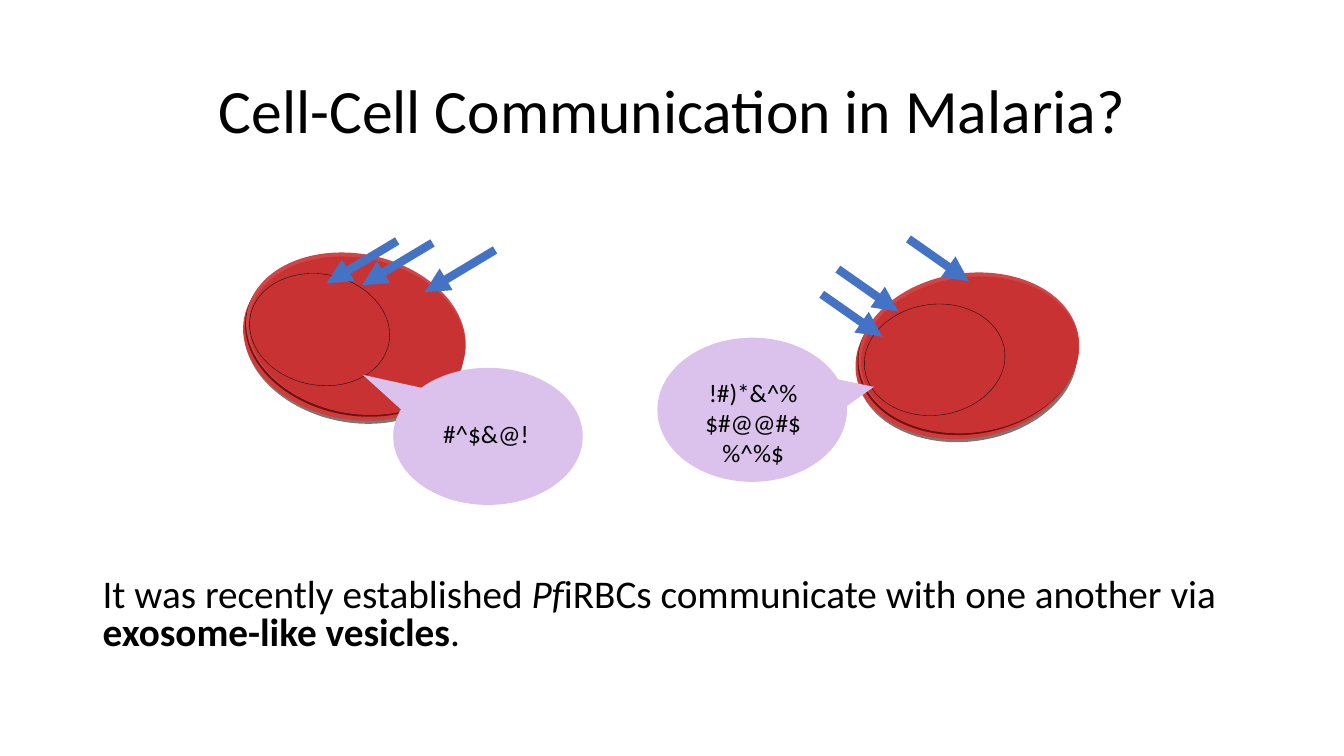
"""Build the slide on cell-cell communication in malaria."""
from lxml import etree
from pptx import Presentation
from pptx import util as u
from pptx.dml.color import RGBColor
from pptx.enum import shapes, text
from pptx.oxml.ns import qn

deck = Presentation()
deck.slide_width, deck.slide_height = u.Inches(13.33), u.Inches(7.5)
slide = deck.slides.add_slide(deck.slide_layouts[5])
kind = shapes.MSO_SHAPE


def rgb(code):
    return RGBColor.from_string(code)


def write(box, runs, size=18, align=text.PP_ALIGN.CENTER, space=1.0,
          wrap=True, anchor=text.MSO_ANCHOR.TOP):
    frame = box.text_frame
    frame.word_wrap = wrap
    frame.vertical_anchor = anchor
    para = frame.paragraphs[0]
    para.alignment, para.line_spacing = align, space
    for words, style in runs:
        run = para.add_run()
        run.text = words
        font = run.font
        font.name, font.size = "Calibri", u.Pt(size)
        font.color.rgb = rgb("000000")
        font.bold, font.italic = style == "b", style == "i"


title = slide.shapes.title
title.left, title.top = u.Inches(0.92), u.Inches(0.4)
title.width, title.height = u.Inches(11.5), u.Inches(1.45)
write(title, [("Cell-Cell Communication in Malaria?", "")], size=44,
      space=0.9, anchor=text.MSO_ANCHOR.MIDDLE)

box = slide.shapes.add_textbox(u.Inches(0.92), u.Inches(5.69),
                               u.Inches(11.5), u.Inches(0.9))
write(box, [("It was recently established ", ""), ("Pf", "i"),
            ("iRBCs communicate with one another via ", ""),
            ("exosome-like vesicles", "b"), (".", "")],
      size=28, align=text.PP_ALIGN.LEFT, space=0.8)

# Each layer: shift right, shift down, width, height, fill
layers = [(-0.02, 0.09, 2.2, 1.58, "7F7572"),
          (-0.03, 0.06, 2.2, 1.58, "D43A3A"),
          (-0.01, 0.02, 2.2, 1.58, "6A1414"),
          (0, 0, 2.2, 1.58, "D04545"),
          (0.01, 0.02, 2.17, 1.54, "C83232")]
cells = [(3.53, 3.31, 11.6, (3.17, 3.27)), (9.61, 3.5, -7.9, (9.27, 3.57))]
for mid_x, mid_y, turn, (core_x, core_y) in cells:
    ovals = [(mid_x + dx, mid_y + dy, w, h, fill)
             for dx, dy, w, h, fill in layers]
    ovals.append((core_x, core_y, 1.4, 1.1, None))
    for x, y, w, h, fill in ovals:
        oval = slide.shapes.add_shape(
            kind.OVAL, u.Inches(x - w / 2), u.Inches(y - h / 2),
            u.Inches(w), u.Inches(h))
        oval.rotation = turn
        oval.shadow.inherit = False
        if fill:
            oval.fill.solid()
            oval.fill.fore_color.rgb = rgb(fill)
            oval.line.fill.background()
        else:
            oval.fill.background()
            oval.line.color.rgb = rgb("0D0D0D")
            oval.line.width = u.Pt(0.25)

flights = [(-0.7, [(4.91, 2.48), (4.29, 2.41), (3.94, 2.39)]),
           (0.6, [(9.01, 2.37), (8.31, 2.67), (8.15, 2.92)])]
for run_x, starts in flights:
    for x, y in starts:
        arrow = slide.shapes.add_connector(
            shapes.MSO_CONNECTOR.STRAIGHT, u.Inches(x), u.Inches(y),
            u.Inches(x + run_x), u.Inches(y + 0.42))
        arrow.line.color.rgb = rgb("4472C4")
        arrow.line.width = u.Pt(6)
        etree.SubElement(arrow.line._get_or_add_ln(), qn("a:tailEnd"),
                         type="triangle")
        etree.SubElement(arrow._element.spPr, qn("a:effectLst"))

bubbles = [((3.9, 3.65, 1.88, 1.36), 0, (-0.66, -0.449),
            (4.29, 4.1, 1.06, 0.4), "#^$&@!", False),
           ((6.52, 3.35, 1.88, 1.43), 180, (-0.642, 0.159),
            (6.66, 3.69, 1.62, 0.71), "!#)*&^%$#@@#$%^%$", True)]
for spot, turn, tip, place, words, wrap in bubbles:
    bubble = slide.shapes.add_shape(kind.OVAL_CALLOUT, *map(u.Inches, spot))
    bubble.rotation = turn
    bubble.adjustments[0], bubble.adjustments[1] = tip
    bubble.shadow.inherit = False
    bubble.fill.solid()
    bubble.fill.fore_color.rgb = rgb("DAC2EC")
    bubble.line.fill.background()
    label = slide.shapes.add_textbox(*map(u.Inches, place))
    write(label, [(words, "")], wrap=wrap)

deck.save("out.pptx")
